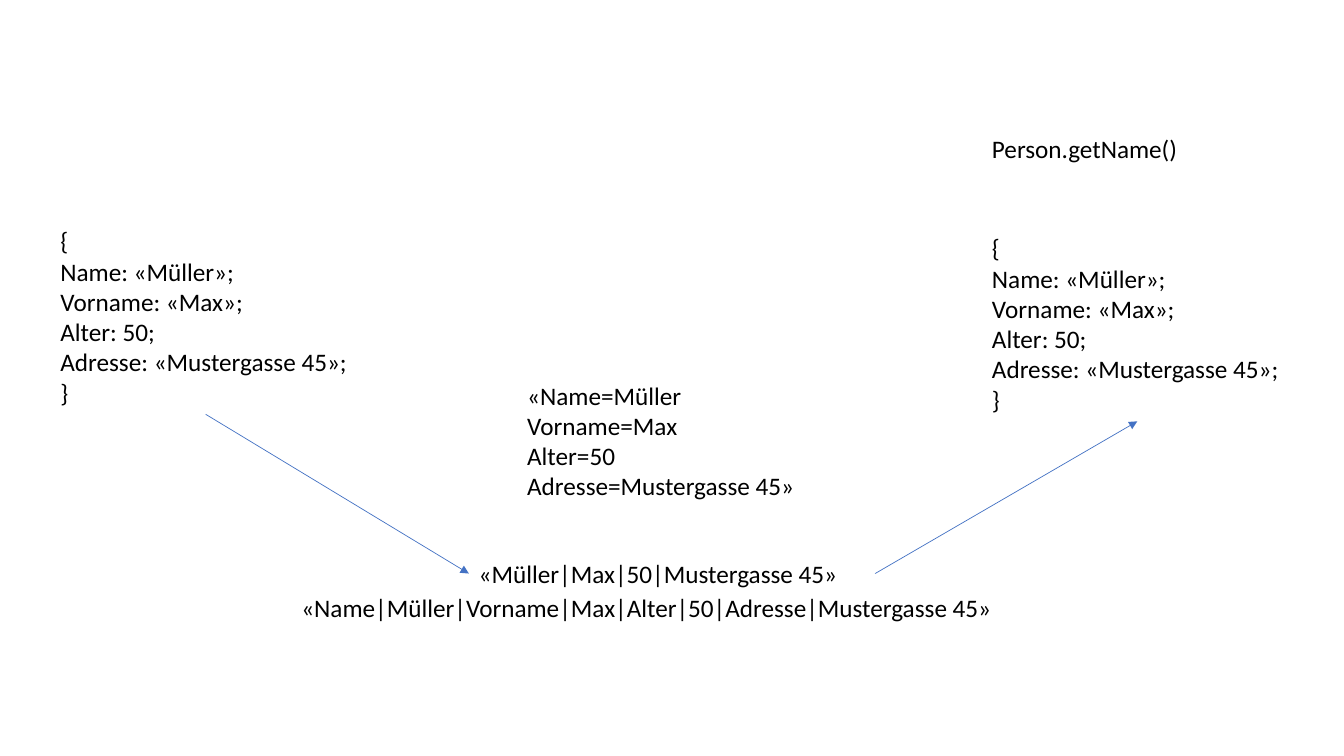
from dataclasses import dataclass

from lxml import etree
from pptx import Presentation
from pptx.dml.color import RGBColor
from pptx.enum.shapes import MSO_CONNECTOR
from pptx.enum.text import MSO_AUTO_SIZE
from pptx.oxml.ns import qn
from pptx.util import Inches, Pt

STRAIGHT = MSO_CONNECTOR.STRAIGHT
FIT_TEXT = MSO_AUTO_SIZE.SHAPE_TO_FIT_TEXT
TOP, LEFT, BOTTOM, RIGHT = range(4)


@dataclass(frozen=True)
class Theme:
    font: str = "Calibri"
    size: Pt = Pt(18)
    text: RGBColor = RGBColor(0x00, 0x00, 0x00)
    arrow: RGBColor = RGBColor(0x44, 0x72, 0xC4)
    arrow_width: Pt = Pt(0.5)


THEME = Theme()

prs = Presentation()
prs.slide_width, prs.slide_height = Inches(13.33), Inches(7.5)
slide = prs.slides.add_slide(prs.slide_layouts[6])

# Text blocks: left, top, width, height, lines
person = ["{", "Name: «Müller»;", "Vorname: «Max»;", "Alter: 50;",
          "Adresse: «Mustergasse 45»;", "}"]
blocks = {
    "sender": (0.5, 2.19, 3.08, 1.92, person),
    "receiver": (9.74, 2.26, 3.08, 1.92, person),
    "values": (4.65, 5.49, 4.03, 0.4, ["«Müller|Max|50|Mustergasse 45»"]),
    "call": (9.74, 1.27, 2.58, 0.4, ["Person.getName()"]),
    "keys and values": (2.89, 5.83, 8.02, 0.4,
                        ["«Name|Müller|Vorname|Max|Alter|50|Adresse|Mustergasse 45»"]),
    "pairs": (5.13, 3.72, 8.02, 1.31,
              ["«Name=Müller", "Vorname=Max", "Alter=50", "Adresse=Mustergasse 45»"]),
}
boxes = {}
for name, (*place, lines) in blocks.items():
    sp = slide.shapes.add_textbox(*map(Inches, place))
    tf = sp.text_frame
    tf.word_wrap = True
    tf.auto_size = FIT_TEXT
    tf.text = "\n".join(lines)
    for p in tf.paragraphs:
        p.font.name = THEME.font
        p.font.size = THEME.size
        p.font.color.rgb = THEME.text
    boxes[name] = sp

# Arrows from the sender through the string to the receiver
for start, start_side, end, end_side, ends in [
    ("sender", BOTTOM, "values", LEFT, (2.04, 4.11, 4.65, 5.69)),
    ("values", RIGHT, "receiver", BOTTOM, (8.68, 5.69, 11.28, 4.18)),
]:
    arrow = slide.shapes.add_connector(STRAIGHT, *map(Inches, ends))
    arrow.begin_connect(boxes[start], start_side)
    arrow.end_connect(boxes[end], end_side)
    arrow.line.color.rgb = THEME.arrow
    arrow.line.width = THEME.arrow_width
    etree.SubElement(arrow.line._get_or_add_ln(), qn("a:tailEnd"), type="triangle")
    etree.SubElement(arrow._element.spPr, qn("a:effectLst"))

prs.save("out.pptx")
